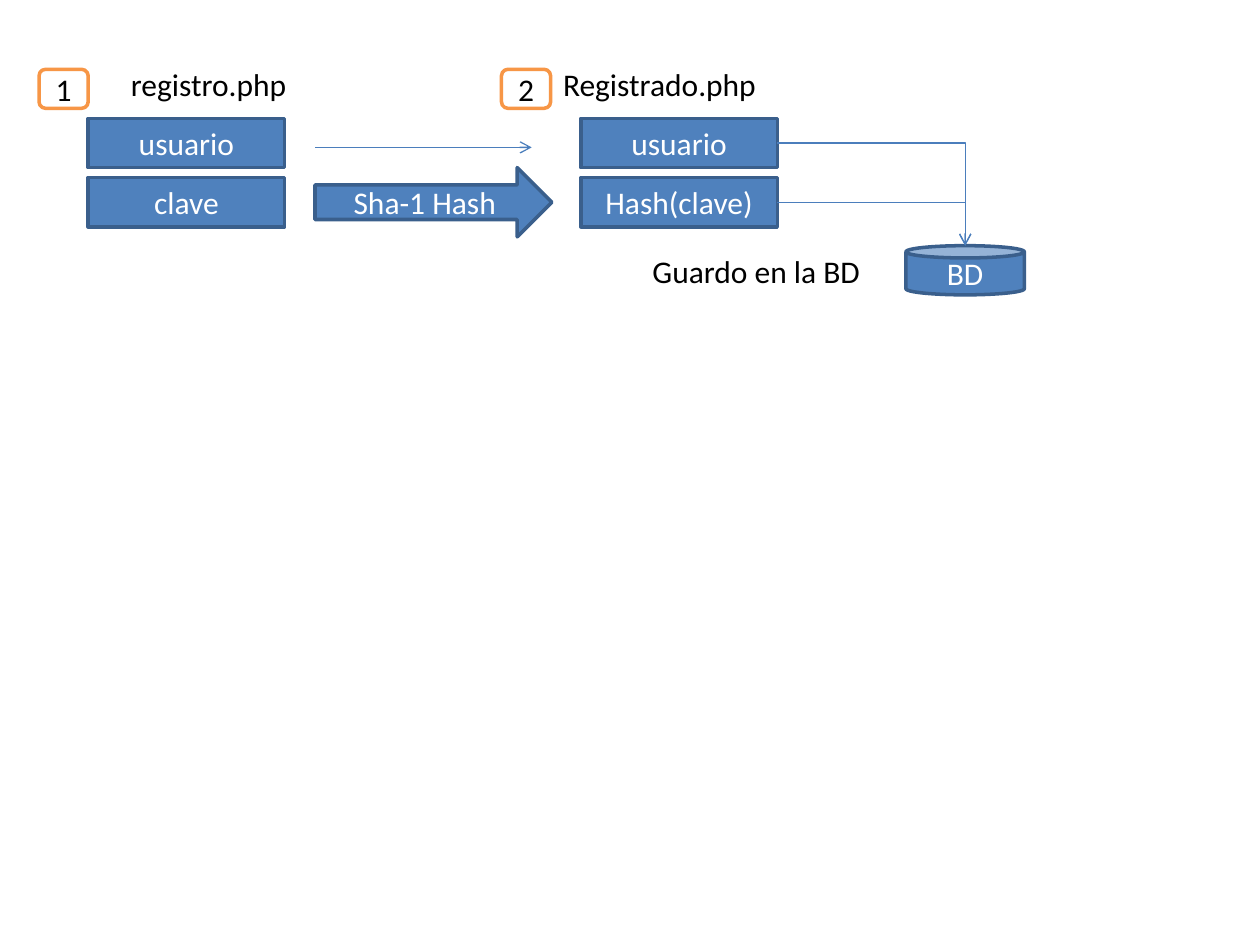
from lxml import etree
from pptx import Presentation
from pptx.dml.color import RGBColor
from pptx.enum.shapes import MSO_CONNECTOR as Connector, MSO_SHAPE as Shape
from pptx.enum.text import MSO_ANCHOR as Anchor, MSO_AUTO_SIZE as AutoSize, PP_ALIGN as Align
from pptx.oxml.ns import qn
from pptx.util import Inches, Pt

BLUE, DARK_BLUE, LINE_BLUE = "4F81BD", "3A5F8C", "4B7EBC"
ORANGE, WHITE, BLACK = "F79646", "FFFFFF", "000000"

FIELD_WIDTH, FIELD_HEIGHT = 1.56, 0.39
FIELD_TOP, FIELD_STEP = 0.94, 0.47
BADGE_TOP, BADGE_WIDTH, BADGE_HEIGHT = 0.55, 0.39, 0.31
LABEL_HEIGHT = 0.4
HASH_ARROW = (2.5, 1.33, 1.88, 0.55)
USER_ARROW = ((2.5, 1.17), (4.22, 1.17))
DATABASE = (7.19, 1.95, 0.94, FIELD_HEIGHT)

# number, badge left, page name, name left, name width, fields left, fields
PAGES = [
    ("1", 0.31, "registro.php", 0.94, 1.45, 0.7, ["usuario", "clave"]),
    ("2", 3.98, "Registrado.php", 4.37, 1.75, 4.61, ["usuario", "Hash(clave)"]),
]


def color(value):
    """Turn a hex string into a colour."""
    return RGBColor.from_string(value)


def format_text(shape, text, text_color):
    """Write text in the slide's common font."""
    shape.text_frame.text = text
    font = shape.text_frame.paragraphs[0].runs[0].font
    font.name, font.size = "Calibri", Pt(18)
    font.color.rgb = color(text_color)


def add_box(slide, kind, box, text, fill=BLUE, line=DARK_BLUE, text_color=WHITE):
    """Add a preset shape with centred text."""
    shape = slide.shapes.add_shape(kind, *map(Inches, box))
    shape.shadow.inherit = False
    shape.fill.solid()
    shape.fill.fore_color.rgb = color(fill)
    shape.line.color.rgb = color(line)
    shape.line.width = Pt(2)
    format_text(shape, text, text_color)
    shape.text_frame.vertical_anchor = Anchor.MIDDLE
    shape.text_frame.paragraphs[0].alignment = Align.CENTER


def add_label(slide, left, top, width, text):
    """Add an unwrapped black label."""
    label = slide.shapes.add_textbox(*map(Inches, (left, top, width, LABEL_HEIGHT)))
    format_text(label, text, BLACK)
    label.text_frame.word_wrap = False
    label.text_frame.auto_size = AutoSize.SHAPE_TO_FIT_TEXT


def add_arrow(slide, start, end, bent=False):
    """Add a thin arrow, straight or with a single right-angle bend."""
    kind = Connector.ELBOW if bent else Connector.STRAIGHT
    arrow = slide.shapes.add_connector(kind, *map(Inches, (*start, *end)))
    arrow.line.color.rgb = color(LINE_BLUE)
    arrow.line.width = Pt(0.75)
    properties = arrow._element.spPr
    if bent:
        properties.find(qn("a:prstGeom")).set("prst", "bentConnector2")
    etree.SubElement(properties.find(qn("a:ln")), qn("a:tailEnd"), type="arrow")
    etree.SubElement(properties, qn("a:effectLst"))


presentation = Presentation()
presentation.slide_width, presentation.slide_height = Inches(10), Inches(7.5)
slide = presentation.slides.add_slide(presentation.slide_layouts[6])

for number, badge_left, name, name_left, name_width, fields_left, fields in PAGES:
    add_label(slide, name_left, 0.47, name_width, name)
    for row, field in enumerate(fields):
        top = FIELD_TOP + row * FIELD_STEP
        add_box(slide, Shape.RECTANGLE, (fields_left, top, FIELD_WIDTH, FIELD_HEIGHT), field)
    add_box(slide, Shape.ROUNDED_RECTANGLE, (badge_left, BADGE_TOP, BADGE_WIDTH, BADGE_HEIGHT),
            number, WHITE, ORANGE, BLACK)

add_arrow(slide, *USER_ARROW)
add_box(slide, Shape.RIGHT_ARROW, HASH_ARROW, "Sha-1 Hash")

add_box(slide, Shape.CAN, DATABASE, "BD")
add_label(slide, 5.08, DATABASE[1], 1.87, "Guardo en la BD")
database_top = (DATABASE[0] + DATABASE[2] / 2, DATABASE[1])
fields_left, fields = PAGES[-1][-2:]
for row in range(len(fields)):
    middle = FIELD_TOP + row * FIELD_STEP + FIELD_HEIGHT / 2
    add_arrow(slide, (fields_left + FIELD_WIDTH, middle), database_top, bent=True)

presentation.save("out.pptx")
